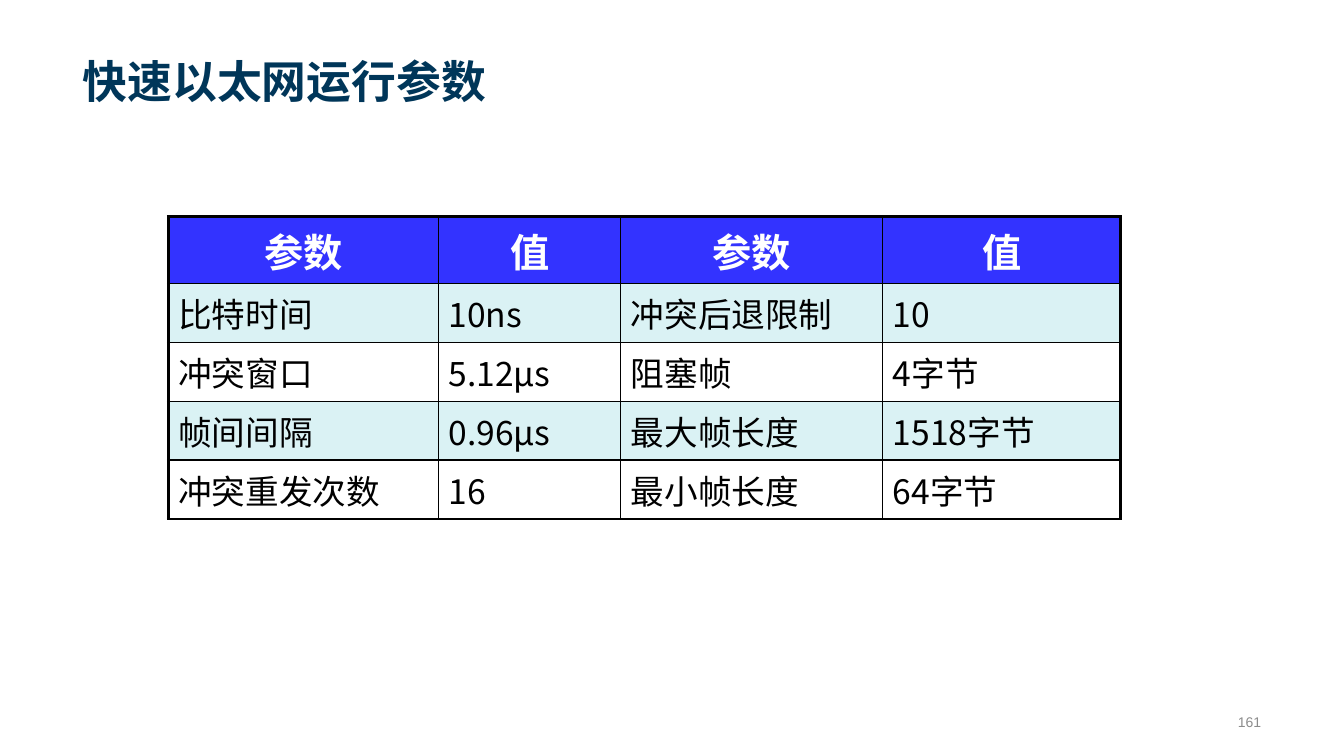
from dataclasses import dataclass

from lxml import etree
from pptx import Presentation, util as u
from pptx.dml import color
from pptx.enum import text
from pptx.oxml import ns


@dataclass
class Theme:
    navy: str = "003659"
    blue: str = "3333FF"
    pale: str = "DAF2F4"
    white: str = "FFFFFF"
    black: str = "000000"
    gray: str = "8C8C8C"
    font: str = "Noto Sans CJK SC"
    latin: str = "Arial"
    title: int = 32
    head: int = 28
    body: int = 24
    note: int = 10
    thick: float = 2.25
    thin: float = 1


class Deck:
    """Draws styled elements on the current slide."""

    def __init__(self, theme):
        self.theme = theme
        self.prs = Presentation()
        self.prs.slide_width, self.prs.slide_height = u.Pt(960), u.Pt(540)
        self.slide = self.prs.slides.add_slide(self.prs.slide_layouts[5])

    def label(self, frame, words, size, tint, face, bold=False, align=text.PP_ALIGN.LEFT):
        para = frame.paragraphs[0]
        para.alignment = align
        run = para.add_run()
        run.text = words
        font = run.font
        font.size, font.bold, font.name = u.Pt(size), bold, face
        font.color.rgb = color.RGBColor.from_string(tint)
        east = etree.SubElement(run._r.get_or_add_rPr(), ns.qn("a:ea"))
        east.set("typeface", face)

    def title(self, words, box):
        t = self.theme
        shape = self.slide.shapes.title
        shape.left, shape.top, shape.width, shape.height = map(u.Pt, box)
        frame = shape.text_frame
        frame.auto_size = text.MSO_AUTO_SIZE.NONE
        frame.vertical_anchor = text.MSO_ANCHOR.BOTTOM
        self.label(frame, words, t.title, t.navy, t.font, True)

    def number(self, words, box):
        t = self.theme
        frame = self.slide.shapes.add_textbox(*map(u.Pt, box)).text_frame
        frame.word_wrap = True
        frame.vertical_anchor = text.MSO_ANCHOR.MIDDLE
        self.label(frame, words, t.note, t.gray, t.latin, align=text.PP_ALIGN.RIGHT)

    def edge(self, cell, sides):
        props = cell._tc.get_or_add_tcPr()
        for spot, (side, width) in enumerate(sides.items()):
            line = etree.Element(ns.qn(f"a:ln{side}"), w=str(u.Pt(width)))
            fill = etree.SubElement(line, ns.qn("a:solidFill"))
            etree.SubElement(fill, ns.qn("a:srgbClr"), val=self.theme.black)
            props.insert(spot, line)

    def cell(self, cell, words, row):
        t = self.theme
        if row % 2 or row == 0:
            cell.fill.solid()
            tint = t.pale if row else t.blue
            cell.fill.fore_color.rgb = color.RGBColor.from_string(tint)
        else:
            cell.fill.background()
        if row:
            self.label(cell.text_frame, words, t.body, t.black, t.font)
        else:
            self.label(cell.text_frame, words, t.head, t.white, t.font, True,
                       text.PP_ALIGN.CENTER)

    def table(self, data, left, top, wide, high):
        t = self.theme
        rows, cols = len(data), len(wide)
        size = map(u.Pt, (left, top, sum(wide), sum(high)))
        table = self.slide.shapes.add_table(rows, cols, *size).table
        table.first_row = table.horz_banding = False
        for col, width in zip(table.columns, wide):
            col.width = u.Pt(width)
        for row, height in zip(table.rows, high):
            row.height = u.Pt(height)
        for r, line in enumerate(data):
            for c, words in enumerate(line):
                cell = table.cell(r, c)
                self.cell(cell, words, r)
                outer = {"L": c == 0, "R": c == cols - 1, "T": r == 0, "B": r == rows - 1}
                self.edge(cell, {s: t.thick if out else t.thin for s, out in outer.items()})


def main():
    deck = Deck(Theme())
    deck.title("快速以太网运行参数", (51.84, 10, 855.4, 70.6))
    data = [
        ("参数", "值") * 2,
        ("比特时间", "10ns", "冲突后退限制", "10"),
        ("冲突窗口", "5.12μs", "阻塞帧", "4字节"),
        ("帧间间隔", "0.96μs", "最大帧长度", "1518字节"),
        ("冲突重发次数", "16", "最小帧长度", "64字节"),
    ]
    deck.table(data, 120.2, 154.8, (193, 130.3, 187.2, 169.9), [47.5] + [42] * 4)
    deck.number("161", (844.5, 504.7, 63.4, 21.6))
    deck.prs.save("out.pptx")


if __name__ == "__main__":
    main()
